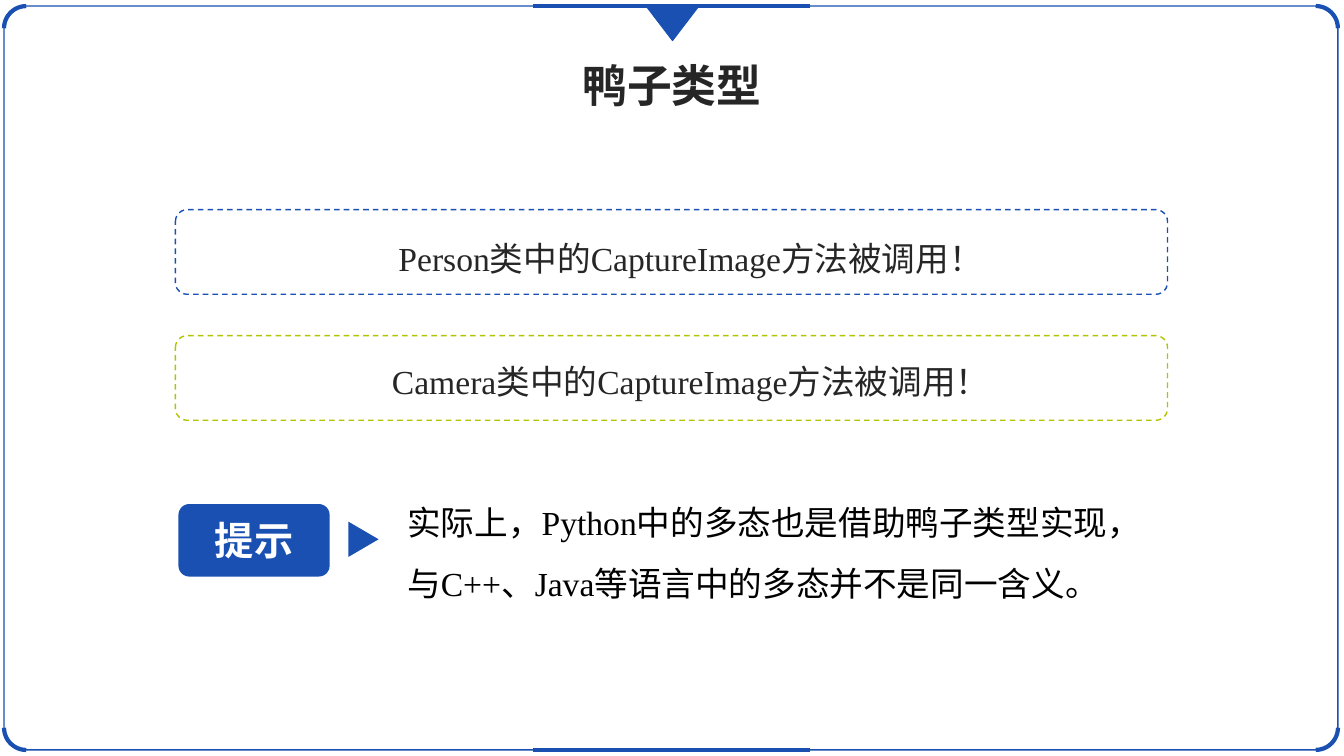
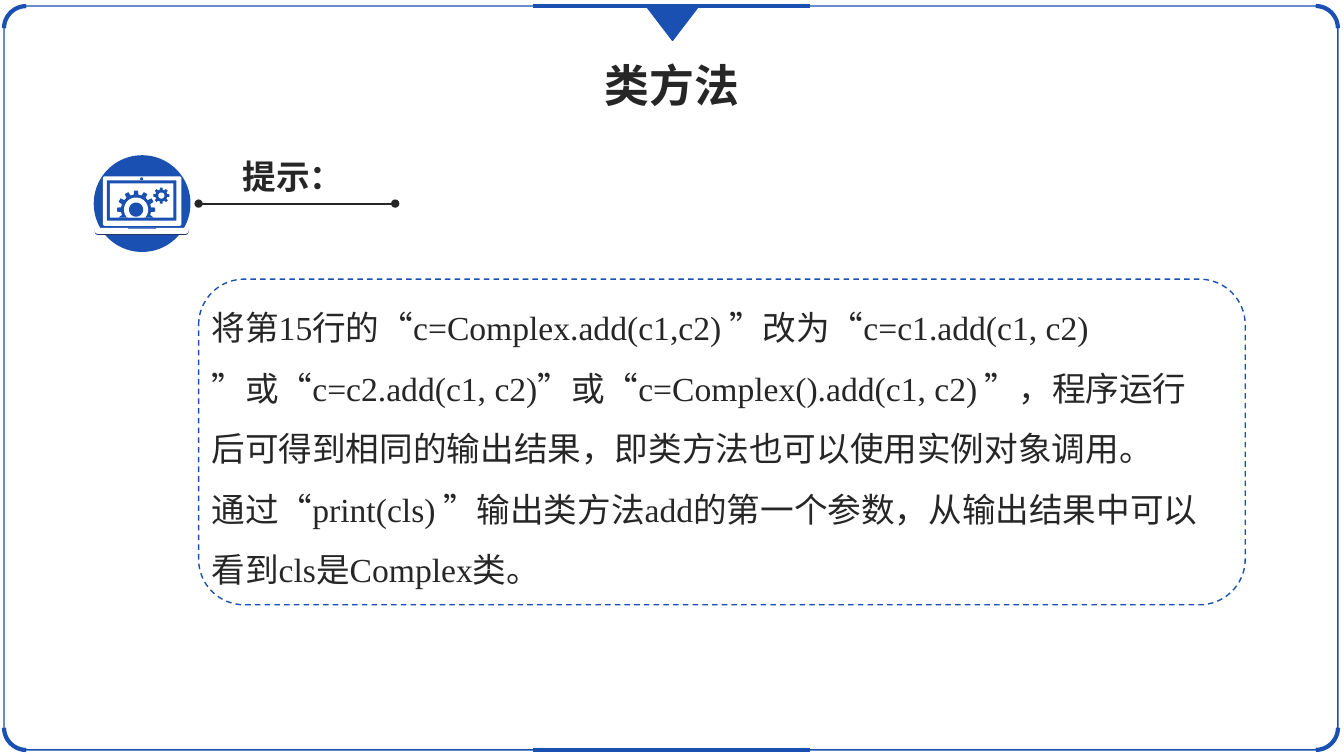
import math
from lxml import etree
from pptx import Presentation
from pptx.dml.color import RGBColor
from pptx.enum.dml import MSO_LINE
from pptx.enum.shapes import MSO_CONNECTOR, MSO_SHAPE
from pptx.enum.text import MSO_ANCHOR, MSO_AUTO_SIZE, PP_ALIGN
from pptx.oxml.ns import qn
from pptx.util import Inches, Pt

DASH = MSO_LINE.DASH
STRAIGHT = MSO_CONNECTOR.STRAIGHT
ROUNDED, TRIANGLE = MSO_SHAPE.ROUNDED_RECTANGLE, MSO_SHAPE.ISOSCELES_TRIANGLE
RECTANGLE, OVAL = MSO_SHAPE.RECTANGLE, MSO_SHAPE.OVAL
ARC, LAPTOP_BASE = MSO_SHAPE.ARC, MSO_SHAPE.ROUND_2_SAME_RECTANGLE
CENTER, LEFT = PP_ALIGN.CENTER, PP_ALIGN.LEFT
MIDDLE = MSO_ANCHOR.MIDDLE
NO_FIT = MSO_AUTO_SIZE.NONE

COLORS = {
    "blue": "1950B2",
    "green": "B1C400",
    "navy": "203864",
    "ink": "262626",
    "black": "000000",
    "white": "FFFFFF",
}
SANS, SERIF = "Noto Sans CJK SC", "Times New Roman"
WIDTH, HEIGHT = 13.33, 7.5


def style_shape(shape, fill=None, outline=None, width=1):
    shape.shadow.inherit = False
    if fill:
        shape.fill.solid()
        shape.fill.fore_color.rgb = RGBColor.from_string(COLORS[fill])
    else:
        shape.fill.background()
    if outline:
        shape.line.color.rgb = RGBColor.from_string(COLORS[outline])
        shape.line.width = Pt(width)
    else:
        shape.line.fill.background()
    return shape


def write_text(frame, paragraphs, size, color="ink", bold=False, align=CENTER, spacing=1.0):
    for index, runs in enumerate(paragraphs):
        para = frame.add_paragraph() if index else frame.paragraphs[0]
        para.alignment = align
        para.line_spacing = spacing
        for text, font_name in runs:
            span = para.add_run()
            span.text = text
            span.font.size = Pt(size)
            span.font.bold = bold
            span.font.color.rgb = RGBColor.from_string(COLORS[color])
            span.font.name = font_name
            east_asian = etree.SubElement(span.font._element, qn("a:ea"))
            east_asian.set("typeface", SANS)


deck = Presentation()
deck.slide_width, deck.slide_height = Inches(WIDTH), Inches(HEIGHT)
layout = deck.slide_layouts[5]
for holder in list(layout.placeholders):
    if holder.placeholder_format.idx:
        holder.element.getparent().remove(holder.element)
    else:
        holder.left, holder.top = Inches(1), Inches(0.52)
        holder.width, holder.height = Inches(WIDTH - 2), Inches(0.64)

pages = []
for heading in ("鸭子类型", "类方法"):
    page = deck.slides.add_slide(layout)
    title = page.shapes.title.text_frame
    title.auto_size = NO_FIT
    title.vertical_anchor = MIDDLE
    write_text(title, [[(heading, SANS)]], 32, bold=True)
    pages.append(page)
duck_page, method_page = pages

shapes = duck_page.shapes
left, top, right, bottom = 0.04, 0.06, 13.27, 7.44
border = style_shape(
    shapes.add_shape(ROUNDED, Inches(left), Inches(top), Inches(right - left), Inches(bottom - top)),
    outline="blue",
)
border.adjustments[0] = 0.03
frame_parts = [border]
corner = 0.44
for x, y, angle in (
    (left, top, 270),
    (left, bottom - corner, 180),
    (right - corner, top, 0),
    (right - corner, bottom - corner, 90),
):
    arc = shapes.add_shape(ARC, Inches(x), Inches(y), Inches(corner), Inches(corner))
    arc.rotation = angle
    frame_parts.append(style_shape(arc, outline="blue", width=3))
rules = []
for y in (top, bottom):
    rule = shapes.add_connector(STRAIGHT, Inches(5.29), Inches(y), Inches(8.03), Inches(y))
    rule.line.color.rgb = RGBColor.from_string(COLORS["blue"])
    rule.line.width = Pt(3)
    rules.append(rule)
pointer = shapes.add_shape(TRIANGLE, Inches(6.41), Inches(top), Inches(0.52), Inches(0.34))
pointer.rotation = 180
frame_parts += rules + [style_shape(pointer, "blue", "blue")]
for index, part in enumerate(frame_parts):
    next(part.element.iter(qn("p:cNvPr"))).set("id", str(100 + index))
    layout.shapes.element.append(part.element)

for message, color, box_top, text_top in (
    ("Person类中的CaptureImage方法被调用！", "blue", 2.08, 2.11),
    ("Camera类中的CaptureImage方法被调用！", "green", 3.33, 3.33),
):
    outline = style_shape(
        shapes.add_shape(ROUNDED, Inches(1.74), Inches(box_top), Inches(9.84), Inches(0.84)),
        outline=color,
    )
    outline.adjustments[0] = 0.14
    outline.line.dash_style = DASH
    box = shapes.add_textbox(Inches(1.77), Inches(text_top), Inches(10.16), Inches(0.64))
    box.text_frame.word_wrap = True
    write_text(box.text_frame, [[(message, SERIF)]], 24, spacing=1.5)

badge = style_shape(
    shapes.add_shape(ROUNDED, Inches(1.77), Inches(5), Inches(1.5), Inches(0.72)), "blue"
)
badge.adjustments[0] = 0.15
badge.text_frame.vertical_anchor = MIDDLE
write_text(badge.text_frame, [[("提示", SERIF)]], 28, "white", True)
marker = style_shape(
    shapes.add_shape(TRIANGLE, Inches(3.43), Inches(5.2), Inches(0.35), Inches(0.3)), "blue"
)
marker.rotation = 90
tip = shapes.add_textbox(Inches(3.94), Inches(4.76), Inches(7.65), Inches(1.24))
tip.text_frame.word_wrap = True
tip.text_frame.vertical_anchor = MIDDLE
tip_text = "实际上，Python中的多态也是借助鸭子类型实现，与C++、Java等语言中的多态并不是同一含义。"
write_text(tip.text_frame, [[(tip_text, SERIF)]], 24, "black", align=LEFT, spacing=1.5)

shapes = method_page.shapes
label = shapes.add_textbox(Inches(2.3), Inches(1.5), Inches(1.21), Inches(0.5))
label.text_frame.word_wrap = False
write_text(label.text_frame, [[("提示：", SANS)]], 24, bold=True)

underline = shapes.add_connector(STRAIGHT, Inches(1.97), Inches(2.02), Inches(3.92), Inches(2.02))
underline.line.color.rgb = RGBColor.from_string(COLORS["ink"])
underline.line.width = Pt(1.5)
stroke = underline.element.spPr.find(qn("a:ln"))
for end in ("a:headEnd", "a:tailEnd"):
    etree.SubElement(stroke, qn(end)).set("type", "oval")
for rule in rules + [underline]:
    etree.SubElement(rule.element.spPr, qn("a:effectLst"))

panel = style_shape(
    shapes.add_shape(ROUNDED, Inches(1.97), Inches(2.77), Inches(10.38), Inches(3.23)),
    outline="blue",
)
panel.adjustments[0] = 0.14
panel.line.dash_style = DASH
note = shapes.add_textbox(Inches(2), Inches(2.8), Inches(10.16), Inches(3.13))
note.text_frame.word_wrap = True
write_text(
    note.text_frame,
    [
        [
            ("将第15行的“c=Complex.add(c1,c2)", SERIF),
            (" ”", SANS),
            ("改为“c=c1.add(c1, c2)", SERIF),
            (" ”", SANS),
            ("或“c=c2.add(c1, c2)", SERIF),
            ("”", SANS),
            ("或“c=Complex().add(c1, c2)", SERIF),
            (" ”", SANS),
            ("，程序运行后可得到相同的输出结果，即类方法也可以使用实例对象调用。", SERIF),
        ],
        [
            ("通过“print(cls)", SERIF),
            (" ”", SANS),
            ("输出类方法add的第一个参数，从输出结果中可以看到cls是Complex类。", SERIF),
        ],
    ],
    24,
    align=LEFT,
    spacing=1.5,
)

icon = shapes.add_group_shape().shapes
for kind, x, y, width, height, color in (
    (OVAL, 0.93, 1.54, 0.96, 0.96, "blue"),
    (LAPTOP_BASE, 0.94, 2.27, 0.93, 0.06, "navy"),
    (LAPTOP_BASE, 0.94, 2.26, 0.93, 0.06, "white"),
    (RECTANGLE, 1.27, 2.26, 0.28, 0.01, "blue"),
    (ROUNDED, 1.02, 1.75, 0.78, 0.49, "white"),
    (OVAL, 1.39, 1.76, 0.03, 0.03, "blue"),
    (RECTANGLE, 1.06, 1.79, 0.69, 0.4, "blue"),
    (RECTANGLE, 1.09, 1.82, 0.63, 0.34, "white"),
):
    piece = style_shape(
        icon.add_shape(kind, Inches(x), Inches(y), Inches(width), Inches(height)), color
    )
    if kind == ROUNDED:
        piece.adjustments[0] = 0.04
    if kind == LAPTOP_BASE:
        piece.adjustments[0] = 0.5
        piece.rotation = 180

screen_bottom = 2.16
for x, y, outer, inner, teeth, color in (
    (1.35, 2.08, 0.19, 0.15, 12, "blue"),
    (1.35, 2.08, 0.12, 0.12, 12, "white"),
    (1.35, 2.08, 0.07, 0.07, 12, "blue"),
    (1.6, 1.94, 0.08, 0.06, 8, "blue"),
    (1.6, 1.94, 0.03, 0.03, 8, "white"),
):
    points = []
    for tooth in range(teeth):
        for offset, radius in ((-0.2, outer), (0.2, outer), (0.3, inner), (0.7, inner)):
            angle = 2 * math.pi * (tooth + offset) / teeth
            edge_y = min(y + radius * math.sin(angle), screen_bottom)
            points.append((Inches(x + radius * math.cos(angle)), Inches(edge_y)))
    builder = icon.build_freeform(*points[0], scale=1.0)
    builder.add_line_segments(points[1:], close=True)
    style_shape(builder.convert_to_shape(), color)

deck.save("out.pptx")
